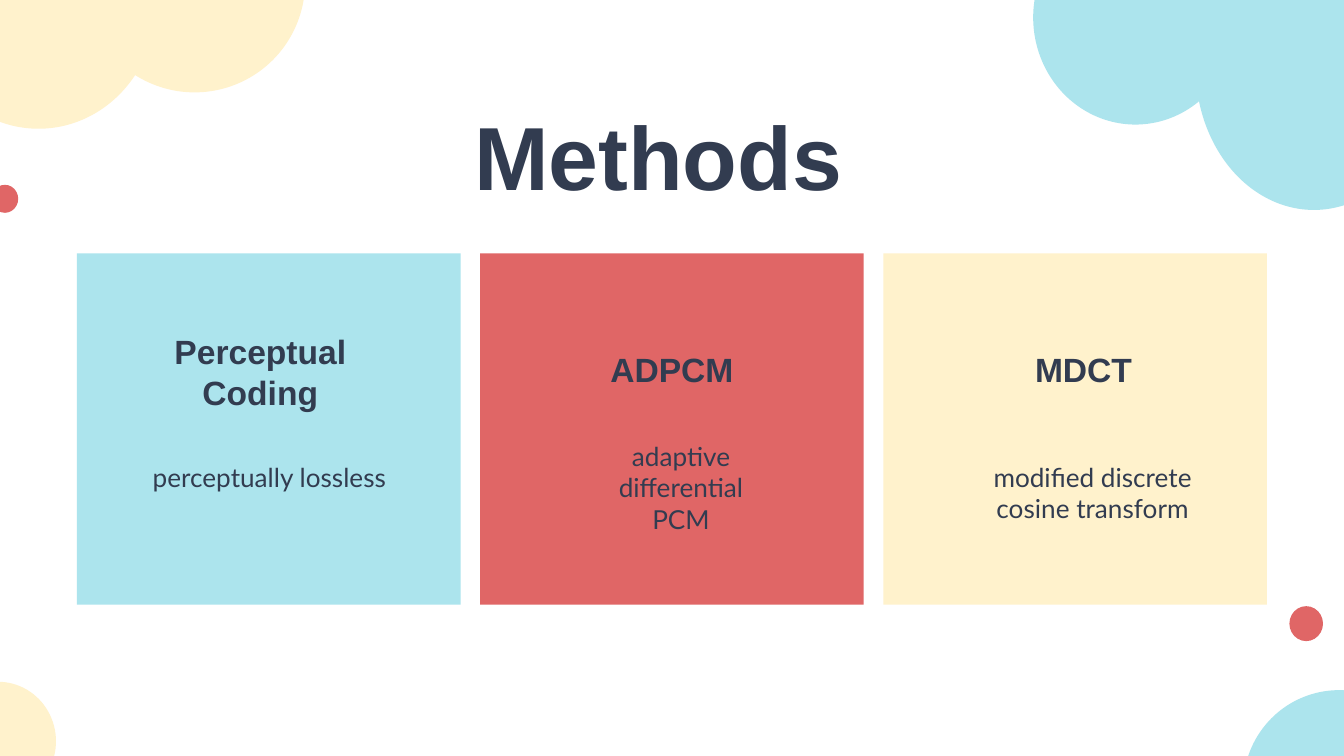
from dataclasses import dataclass

from pptx import Presentation
from pptx.dml.color import RGBColor
from pptx.enum.shapes import MSO_SHAPE
from pptx.enum.text import MSO_ANCHOR, MSO_AUTO_SIZE, PP_ALIGN
from pptx.util import Emu, Pt

OVAL = MSO_SHAPE.OVAL
RECTANGLE = MSO_SHAPE.RECTANGLE
TOP, MIDDLE = MSO_ANCHOR.TOP, MSO_ANCHOR.MIDDLE
LEFT, CENTER = PP_ALIGN.LEFT, PP_ALIGN.CENTER
NO_AUTOFIT = MSO_AUTO_SIZE.NONE

EMU_PER_PX = 9525  # 96 px to the inch


@dataclass(frozen=True)
class Theme:
    ink: str = "323C50"
    aqua: str = "ACE4ED"
    coral: str = "E06666"
    cream: str = "FFF2CC"
    heading_font: str = "Arial"
    body_font: str = "Lato"
    title_size: int = 48
    heading_size: int = 18
    body_size: int = 14


@dataclass(frozen=True)
class Area:
    left: int
    top: int
    width: int
    height: int


@dataclass(frozen=True)
class Bubble:
    area: Area
    color: str


@dataclass(frozen=True)
class Card:
    color: str
    heading: str
    heading_area: Area
    lines: tuple[str, ...]
    body_area: Area


THEME = Theme()

BUBBLES = (
    Bubble(Area(854, -54, 169, 204), THEME.aqua),
    Bubble(Area(738, -64, 146, 153), THEME.aqua),
    Bubble(Area(-57, -89, 169, 181), THEME.cream),
    Bubble(Area(60, -92, 158, 158), THEME.cream),
    Bubble(Area(-6, 132, 19, 20), THEME.coral),
    Bubble(Area(-43, 487, 83, 85), THEME.cream),
    Bubble(Area(888, 493, 137, 138), THEME.aqua),
    Bubble(Area(921, 433, 24, 25), THEME.coral),
)

CARDS = (
    Card(THEME.aqua, "Perceptual Coding", Area(75, 237, 222, 57),
         ("perceptually lossless",), Area(75, 304, 222, 74)),
    Card(THEME.coral, "ADPCM", Area(369, 235, 222, 57),
         ("adaptive", "differential", "PCM"), Area(369, 299, 222, 98)),
    Card(THEME.cream, "MDCT", Area(663, 235, 222, 57),
         ("modified discrete", "cosine transform"), Area(663, 303, 222, 98)),
)

FIRST_CARD = Area(55, 181, 274, 251)
CARD_GAP = 14
TEXT_INSET = 10
BODY_INDENT = 13


def px(length: int) -> Emu:
    return Emu(length * EMU_PER_PX)


def place(area: Area) -> tuple[Emu, Emu, Emu, Emu]:
    return px(area.left), px(area.top), px(area.width), px(area.height)


def draw_shape(page, kind, area: Area, color: str) -> None:
    shape = page.shapes.add_shape(kind, *place(area))
    shape.shadow.inherit = False
    shape.fill.solid()
    shape.fill.fore_color.rgb = RGBColor.from_string(color)
    shape.line.fill.background()


def format_paragraph(para, font: str, size: int, bold: bool, align) -> None:
    para.alignment = align
    para.font.name = font
    para.font.size = Pt(size)
    para.font.bold = bold
    para.font.color.rgb = RGBColor.from_string(THEME.ink)


def draw_text(page, area: Area, lines: tuple[str, ...], font: str, size: int,
              bold: bool = False, indent: int = 0) -> None:
    frame = page.shapes.add_textbox(*place(area)).text_frame
    frame.word_wrap = True
    frame.vertical_anchor = MIDDLE
    frame.margin_left = frame.margin_right = px(TEXT_INSET)
    frame.margin_top = frame.margin_bottom = px(TEXT_INSET)
    frame.text = "\n".join(lines)
    for para in frame.paragraphs:
        if indent:
            para._p.get_or_add_pPr().set("marL", str(px(indent)))
        format_paragraph(para, font, size, bold, CENTER)


def draw_title(page, area: Area, text: str) -> None:
    title = page.shapes.title
    title.left, title.top, title.width, title.height = place(area)
    frame = title.text_frame
    frame.text = text
    frame.word_wrap = True
    frame.auto_size = NO_AUTOFIT
    frame.vertical_anchor = TOP
    format_paragraph(frame.paragraphs[0], THEME.heading_font,
                     THEME.title_size, True, LEFT)


def draw_card(page, index: int, card: Card) -> None:
    left = FIRST_CARD.left + index * (FIRST_CARD.width + CARD_GAP)
    area = Area(left, FIRST_CARD.top, FIRST_CARD.width, FIRST_CARD.height)
    draw_shape(page, RECTANGLE, area, card.color)
    draw_text(page, card.heading_area, (card.heading,), THEME.heading_font,
              THEME.heading_size, bold=True)
    draw_text(page, card.body_area, card.lines, THEME.body_font,
              THEME.body_size, indent=BODY_INDENT)


def main() -> None:
    deck = Presentation()
    deck.slide_width, deck.slide_height = px(960), px(540)
    page = deck.slides.add_slide(deck.slide_layouts[5])

    # Corner bubbles
    for bubble in BUBBLES:
        draw_shape(page, OVAL, bubble.area, bubble.color)

    # Title
    draw_title(page, Area(329, 67, 301, 87), "Methods")

    # One card per method
    for index, card in enumerate(CARDS):
        draw_card(page, index, card)

    deck.save("out.pptx")


if __name__ == "__main__":
    main()
